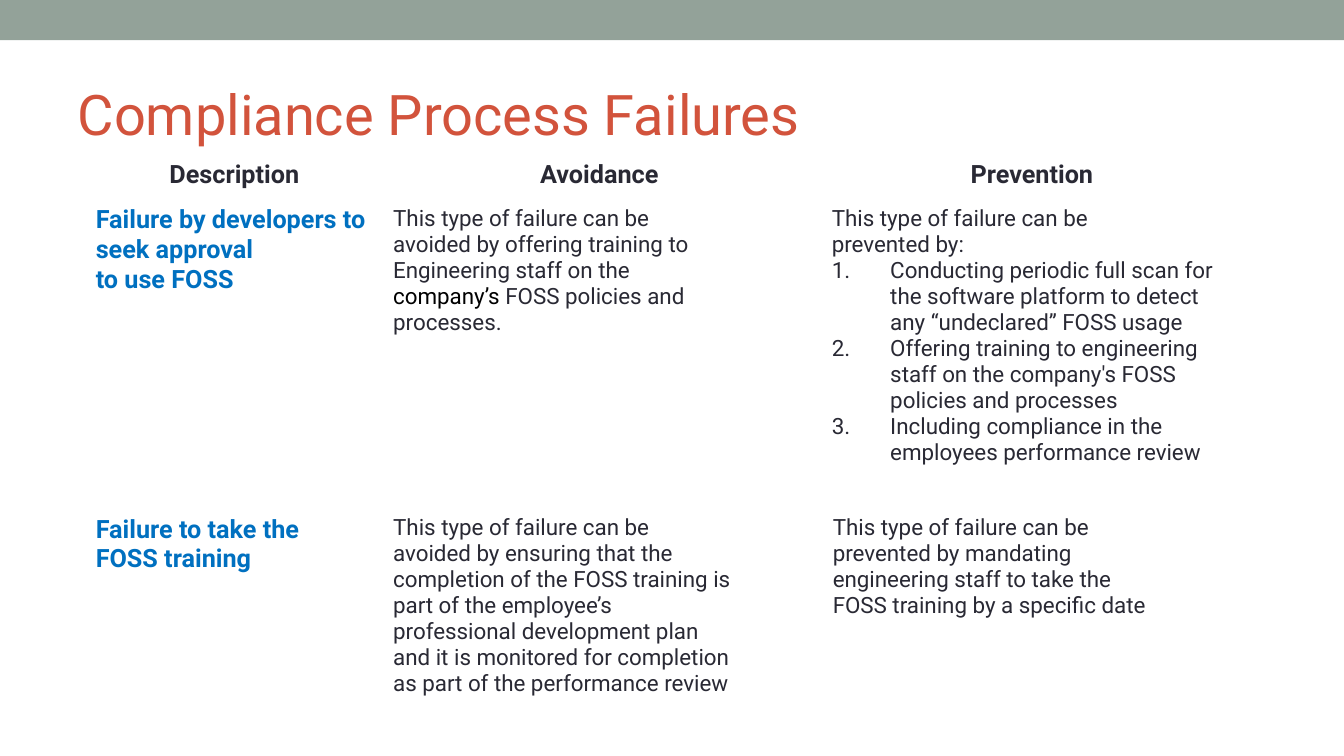
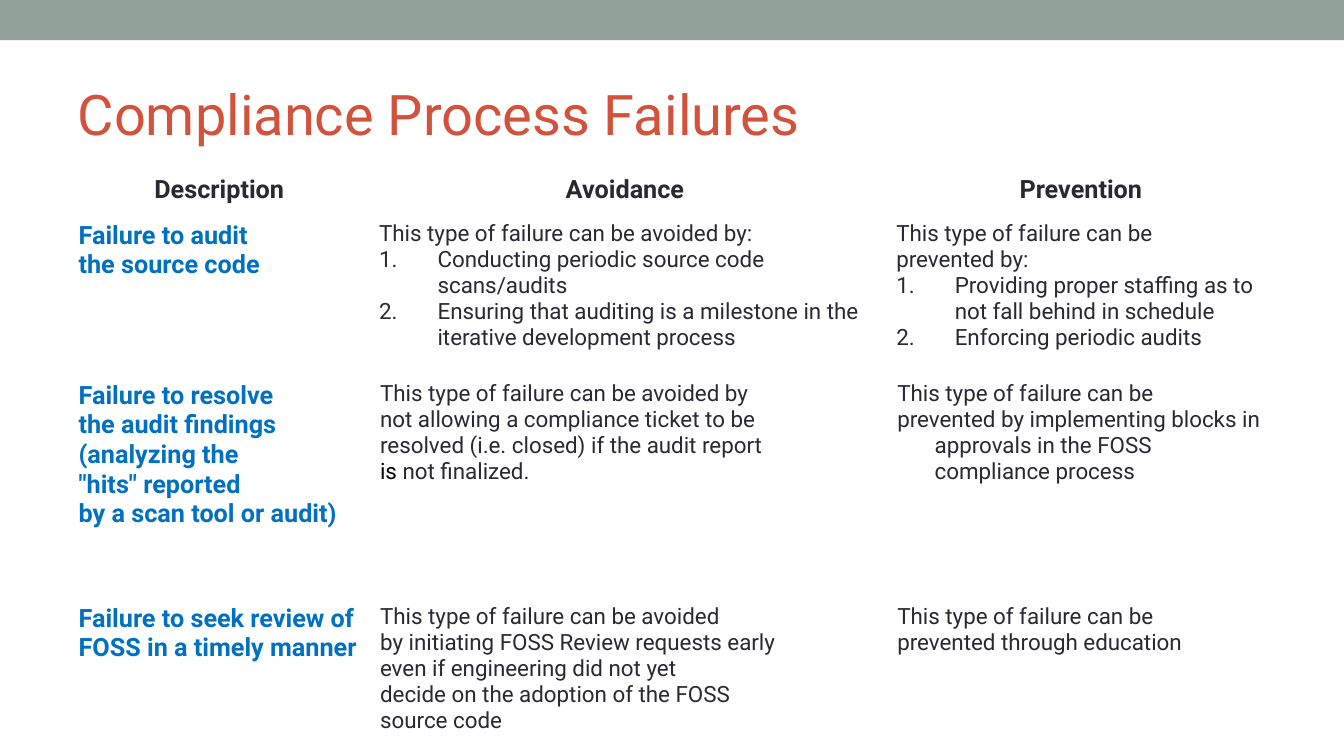
from typing import NamedTuple

from lxml.etree import SubElement
from pptx import Presentation
from pptx.dml.color import RGBColor
from pptx.enum.shapes import MSO_SHAPE
from pptx.enum.text import MSO_ANCHOR, PP_ALIGN
from pptx.oxml.ns import qn
from pptx.util import Pt

PX = 9144  # EMU; 100 px make one inch
SLIDE_W, SLIDE_H = 1333, 750
TITLE_ONLY = 5
FONT = "Roboto"

SAGE = RGBColor(0x93, 0xA2, 0x99)
RUST = RGBColor(0xD2, 0x53, 0x3C)
INK = RGBColor(0x29, 0x29, 0x34)
BLUE = RGBColor(0x00, 0x70, 0xC0)
BLACK = RGBColor(0x00, 0x00, 0x00)
WHITE = RGBColor(0xFF, 0xFF, 0xFF)

TITLE = "Compliance Process Failures"
HEADINGS = ["Description", "Avoidance ", "Prevention"]


class Remedy(NamedTuple):
    """Lines of text, then numbered steps; a (lead, rest) line has a black lead."""
    lines: list
    steps: list = []


class FailureTable(NamedTuple):
    left: int
    top: int
    widths: list
    heights: list
    failures: list  # (description lines, avoidance, prevention)


APPROVAL_AND_TRAINING = FailureTable(
    85, 154, [294, 436, 416], [45, 307, 218],
    [
        (
            ["Failure by developers to seek approval", "to use FOSS"],
            Remedy(["This type of failure can be",
                    "avoided by offering training to",
                    "Engineering staff on the",
                    ("company’s ", "FOSS policies and"),
                    "processes."]),
            Remedy(["This type of failure can be", "prevented by:"],
                   ["Conducting periodic full scan for the software platform "
                    "to detect any “undeclared” FOSS usage",
                    "Offering training to engineering staff on the company's "
                    "FOSS policies and processes",
                    "Including compliance in the employees performance review"]),
        ),
        (
            ["Failure to take the", "FOSS training"],
            Remedy(["This type of failure can be",
                    "avoided by ensuring that the",
                    "completion of the FOSS training is",
                    "part of the employee’s",
                    "professional development plan",
                    "and it is monitored for completion",
                    "as part of the performance review"]),
            Remedy(["This type of failure can be",
                    "prevented by mandating",
                    "engineering staff to take the",
                    "FOSS training by a specific date"]),
        ),
    ],
)

AUDIT_AND_REVIEW = FailureTable(
    68, 169, [298, 513, 385], [45, 159, 221, 159],
    [
        (
            ["Failure to audit", "the source code"],
            Remedy(["This type of failure can be avoided by:"],
                   ["Conducting periodic source code scans/audits",
                    "Ensuring that auditing is a milestone in the iterative "
                    "development process"]),
            Remedy(["This type of failure can be", "prevented by:"],
                   ["Providing proper staffing as to not fall behind in schedule",
                    "Enforcing periodic audits"]),
        ),
        (
            ["Failure to resolve", "the audit findings", "(analyzing the",
             '"hits" reported', "by a scan tool or audit)"],
            Remedy(["This type of failure can be avoided by",
                    "not allowing a compliance ticket to be",
                    "resolved (i.e. closed) if the audit report",
                    ("is ", "not finalized.")]),
            Remedy(["This type of failure can be",
                    "prevented by implementing blocks in approvals in the FOSS "
                    "compliance process"]),
        ),
        (
            ["Failure to seek review of FOSS in a timely manner"],
            Remedy(["This type of failure can be avoided",
                    "by initiating FOSS Review requests early",
                    "even if engineering did not yet",
                    "decide on the adoption of the FOSS",
                    "source code"]),
            Remedy(["This type of failure can be",
                    "prevented through education"]),
        ),
    ],
)


def add_run(paragraph, text, size, color, bold=False):
    run = paragraph.add_run()
    run.text = text
    font = run.font
    font.name, font.size, font.bold = FONT, Pt(size), bold
    font.color.rgb = color


def set_hanging(paragraph, margin, indent):
    properties = paragraph._p.get_or_add_pPr()
    properties.set("marL", str(margin * PX))
    properties.set("indent", str(indent * PX))


def set_numbered(paragraph):
    properties = paragraph._p.get_or_add_pPr()
    color = SubElement(properties, qn("a:buClr"))
    SubElement(color, qn("a:srgbClr"), val=str(INK))
    SubElement(properties, qn("a:buFont"), typeface=FONT)
    SubElement(properties, qn("a:buAutoNum"), type="arabicPeriod")


def add_paragraphs(cell, count):
    """Give the new cell count paragraphs and return them."""
    frame = cell.text_frame
    return [frame.paragraphs[0]] + [frame.add_paragraph() for _ in range(count - 1)]


def style_cell(cell):
    """White hairlines on all four sides and a white fill."""
    properties = cell._tc.get_or_add_tcPr()
    for side in ("lnL", "lnR", "lnT", "lnB"):
        line = SubElement(properties, qn(f"a:{side}"), w=str(Pt(0.06)))
        fill = SubElement(line, qn("a:solidFill"))
        SubElement(fill, qn("a:srgbClr"), val=str(WHITE))
    cell.fill.solid()
    cell.fill.fore_color.rgb = WHITE


def write_heading(cell, text):
    paragraph = cell.text_frame.paragraphs[0]
    paragraph.alignment = PP_ALIGN.CENTER
    set_hanging(paragraph, 38, -37)
    add_run(paragraph, text, 18, INK, bold=True)


def write_description(cell, lines):
    for paragraph, line in zip(add_paragraphs(cell, len(lines)), lines):
        add_run(paragraph, line, 18, BLUE, bold=True)


def write_remedy(cell, remedy):
    margin, indent = (58, -58) if remedy.steps else (38, -37)
    texts = remedy.lines + remedy.steps
    for index, paragraph in enumerate(add_paragraphs(cell, len(texts))):
        set_hanging(paragraph, margin, indent)
        if index >= len(remedy.lines):
            set_numbered(paragraph)
        text = texts[index]
        if isinstance(text, tuple):
            lead, text = text
            add_run(paragraph, lead, 16, BLACK)
        add_run(paragraph, text, 16, INK)


def add_failure_table(slide, content):
    frame = slide.shapes.add_table(
        len(content.heights), len(content.widths),
        content.left * PX, content.top * PX,
        sum(content.widths) * PX, sum(content.heights) * PX)
    table = frame.table
    table.first_row = table.horz_banding = False
    for column, width in zip(table.columns, content.widths):
        column.width = width * PX
    for row, height in zip(table.rows, content.heights):
        row.height = height * PX
    for cell in table.iter_cells():
        style_cell(cell)
    for column, heading in enumerate(HEADINGS):
        write_heading(table.cell(0, column), heading)
    for row, (description, avoidance, prevention) in enumerate(content.failures, 1):
        write_description(table.cell(row, 0), description)
        write_remedy(table.cell(row, 1), avoidance)
        write_remedy(table.cell(row, 2), prevention)


def add_title(slide):
    title = slide.shapes.title
    title.left, title.top = 67 * PX, 58 * PX
    title.width, title.height = 1200 * PX, 108 * PX
    title.text_frame.vertical_anchor = MSO_ANCHOR.MIDDLE
    paragraph = title.text_frame.paragraphs[0]
    paragraph.alignment = PP_ALIGN.LEFT
    add_run(paragraph, TITLE, 40, RUST)


def add_master_band(prs, slide):
    """Draw the band on a slide, then move it to the back of the master."""
    band = slide.shapes.add_shape(
        MSO_SHAPE.RECTANGLE, 0, 0, SLIDE_W * PX, 40 * PX)
    band.shadow.inherit = False
    band.fill.solid()
    band.fill.fore_color.rgb = SAGE
    band.line.fill.background()
    band.element.nvSpPr.cNvPr.set("id", "20")
    prs.slide_master.shapes.element.insert(2, band.element)


def main():
    prs = Presentation()
    prs.slide_width, prs.slide_height = SLIDE_W * PX, SLIDE_H * PX
    for content in (APPROVAL_AND_TRAINING, AUDIT_AND_REVIEW):
        slide = prs.slides.add_slide(prs.slide_layouts[TITLE_ONLY])
        add_title(slide)
        add_failure_table(slide, content)
    add_master_band(prs, slide)
    prs.save("out.pptx")


if __name__ == "__main__":
    main()
